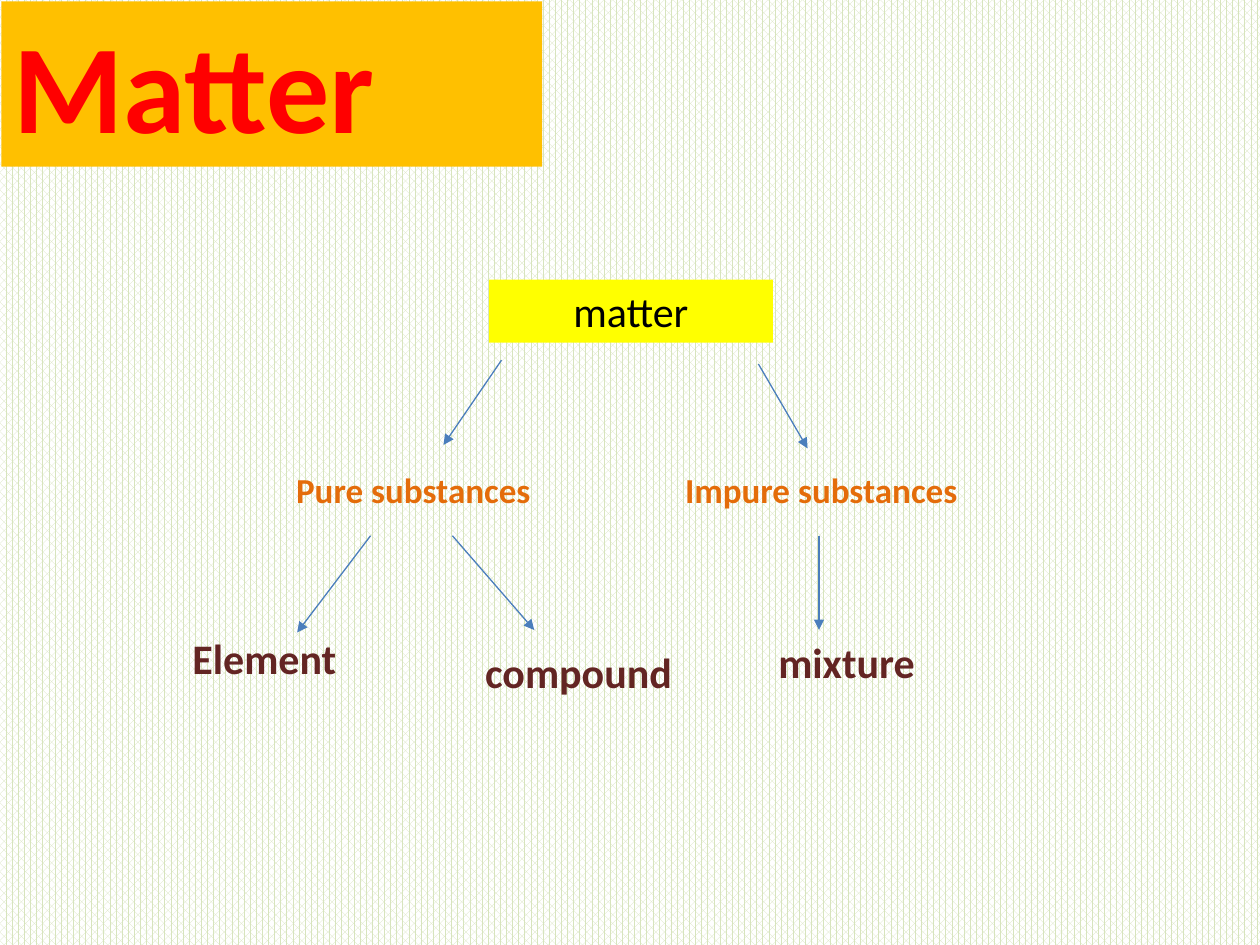
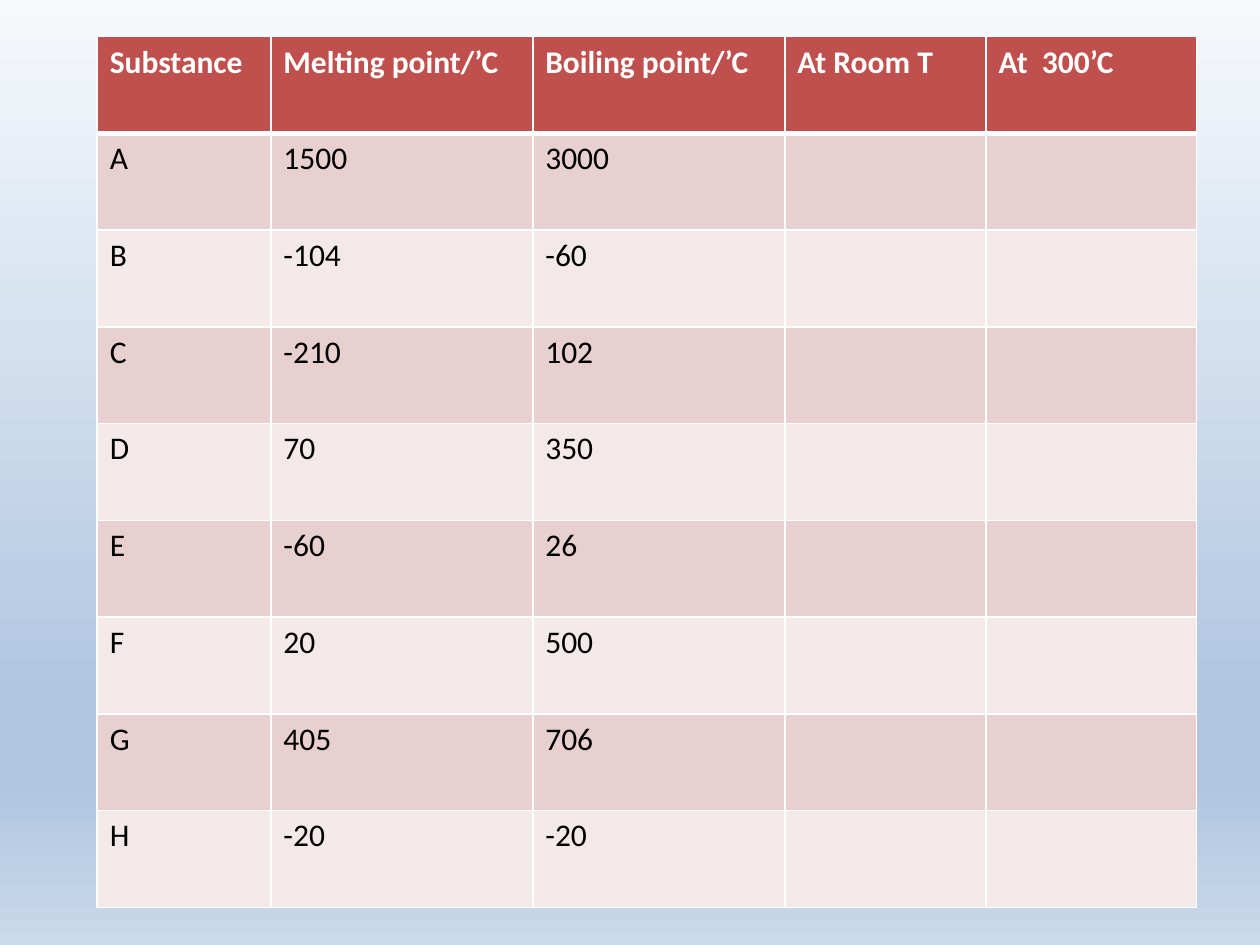
from lxml.etree import SubElement
from pptx import Presentation
from pptx.dml.color import RGBColor
from pptx.enum.dml import MSO_PATTERN
from pptx.enum.shapes import MSO_CONNECTOR, MSO_SHAPE
from pptx.enum.text import MSO_ANCHOR, MSO_AUTO_SIZE, PP_ALIGN
from pptx.oxml.ns import qn
from pptx.util import Cm, Pt

FONT = "Calibri"
COLORS = {
    "white": "FFFFFF", "black": "000000", "stripe": "D7E4BD",
    "title_band": "FFC000", "title": "FF0000", "root": "FFFF00",
    "kind": "E46C0A", "example": "632523", "arrow": "4B7EBC",
    "header": "C0504D", "odd_row": "E8D0D0", "even_row": "F4E9E9",
    "sky_top": "F6F9FC", "sky_deep": "B0C6E1", "sky_base": "CAD9EB",
}
SKY_STOPS = [(0, "sky_top"), (74, "sky_deep"), (83, "sky_deep"), (100, "sky_base")]

KINDS = [("Pure substances", 2.09, 8.18), ("Impure substances", 9.93, 6.55)]
EXAMPLES = [("Element", 0, 6.98, 4.7), ("compound", 5.9, 7.26, 4.37), ("mixture", 11.81, 7.06, 4.65)]
ARROWS = [
    (6.48, 1.62, 5.31, 3.33),
    (11.66, 1.7, 12.65, 3.4),
    (3.84, 5.16, 2.36, 7.11),
    (5.49, 5.16, 7.14, 7.06),
    (12.88, 5.16, 12.88, 7.06),
]

HEADINGS = ["Substance", "Melting point/’C", "Boiling point/’C", "At Room T", "At  300’C"]
COLUMN_WIDTHS = [3.5, 5.28, 5.08, 4.06, 4.24]
SUBSTANCES = [
    ("A", "1500", "3000"), ("B", "-104", "-60"), ("C", "-210", "102"), ("D", "70", "350"),
    ("E", "-60", "26"), ("F", "20", "500"), ("G", "405", "706"), ("H", "-20", "-20"),
]


def rgb(name):
    """Return the named colour."""
    return RGBColor.from_string(COLORS[name])


def write(frame, text, size, color, bold=False, align=PP_ALIGN.LEFT):
    """Write one styled paragraph into a text frame."""
    paragraph = frame.paragraphs[0]
    paragraph.text = text
    paragraph.alignment = align
    font = paragraph.font
    font.name, font.size, font.bold = FONT, Pt(size), bold
    font.color.rgb = rgb(color)


def add_label(slide, box, text, size, color, bold=True, align=PP_ALIGN.LEFT, fill=None):
    """Add a label at a box in centimetres, on a filled rectangle if asked."""
    place = [Cm(length) for length in box]
    if fill:
        label = slide.shapes.add_shape(MSO_SHAPE.RECTANGLE, *place)
        label.shadow.inherit = False
        label.fill.solid()
        label.fill.fore_color.rgb = rgb(fill)
        label.line.fill.background()
    else:
        label = slide.shapes.add_textbox(*place)
    frame = label.text_frame
    frame.word_wrap = True
    frame.auto_size = MSO_AUTO_SIZE.SHAPE_TO_FIT_TEXT
    frame.vertical_anchor = MSO_ANCHOR.TOP
    write(frame, text, size, color, bold, align)


def add_arrow(slide, x1, y1, x2, y2):
    """Add a thin arrow between two points in centimetres."""
    arrow = slide.shapes.add_connector(MSO_CONNECTOR.STRAIGHT, Cm(x1), Cm(y1), Cm(x2), Cm(y2))
    arrow.line.color.rgb = rgb("arrow")
    arrow.line.width = Pt(0.75)
    SubElement(arrow.line._get_or_add_ln(), qn("a:tailEnd"), type="triangle")
    SubElement(arrow._element.spPr, qn("a:effectLst"))


def add_matter_tree(slide, left, top):
    """Draw the classification of matter from its top left corner."""
    add_label(slide, (left + 6.23, top, 5.72, 1.27), "matter", 24, "black",
              bold=False, align=PP_ALIGN.CENTER, fill="root")
    for kind, x, width in KINDS:
        add_label(slide, (left + x, top + 3.68, width, 1.12), kind, 20, "kind")
    for example, x, y, width in EXAMPLES:
        add_label(slide, (left + x, top + y, width, 1.27), example, 24, "example")
    for x1, y1, x2, y2 in ARROWS:
        add_arrow(slide, left + x1, top + y1, left + x2, top + y2)


def build_matter_slide(slide):
    """Build the slide that divides matter into its kinds."""
    stripes = slide.background.fill
    stripes.patterned()
    stripes.pattern = MSO_PATTERN.PERCENT_70
    stripes.fore_color.rgb = rgb("stripe")
    stripes.back_color.rgb = rgb("white")
    add_label(slide, (0.03, 0.03, 10.9, 3.33), "Matter", 72, "title", fill="title_band")
    add_matter_tree(slide, 3.63, 5.64)


def paint_sky(slide):
    """Fill the background with a vertical gradient."""
    sky = slide.background.fill
    sky.gradient()
    sky.gradient_angle = 270
    stops = slide._element.find(".//" + qn("a:gsLst"))
    for stop in list(stops):
        stops.remove(stop)
    for percent, name in SKY_STOPS:
        stop = SubElement(stops, qn("a:gs"), pos=str(percent * 1000))
        SubElement(stop, qn("a:srgbClr"), val=COLORS[name])


def add_borders(cell, row):
    """Rule a cell in white, thicker under the header row."""
    widths = {"L": 1, "R": 1, "T": 3 if row == 1 else 1, "B": 3 if row == 0 else 1}
    properties = cell._tc.get_or_add_tcPr()
    for side, width in widths.items():
        border = SubElement(properties, qn(f"a:ln{side}"), w=str(Pt(width)))
        SubElement(SubElement(border, qn("a:solidFill")), qn("a:srgbClr"), val=COLORS["white"])


def add_substance_table(slide, left, top, row_height):
    """Tabulate melting and boiling points, leaving the states to fill in."""
    rows = [HEADINGS] + [(*substance, "", "") for substance in SUBSTANCES]
    table = slide.shapes.add_table(
        len(rows), len(HEADINGS), Cm(left), Cm(top),
        Cm(sum(COLUMN_WIDTHS)), Cm(row_height * len(rows))).table
    for column, width in zip(table.columns, COLUMN_WIDTHS):
        column.width = Cm(width)
    for r, values in enumerate(rows):
        table.rows[r].height = Cm(row_height)
        header = r == 0
        band = "header" if header else "odd_row" if r % 2 else "even_row"
        for c, value in enumerate(values):
            cell = table.cell(r, c)
            add_borders(cell, r)
            cell.fill.solid()
            cell.fill.fore_color.rgb = rgb(band)
            write(cell.text_frame, value, 18, "white" if header else "black", header)


def build_substance_slide(slide):
    """Build the slide with the table of substances."""
    paint_sky(slide)
    add_substance_table(slide, 1.96, 0.74, 1.95)


def main():
    """Build both slides and save them."""
    deck = Presentation()
    deck.slide_width, deck.slide_height = Cm(25.4), Cm(19.05)
    for build in (build_matter_slide, build_substance_slide):
        build(deck.slides.add_slide(deck.slide_layouts[6]))
    deck.save("out.pptx")


if __name__ == "__main__":
    main()
